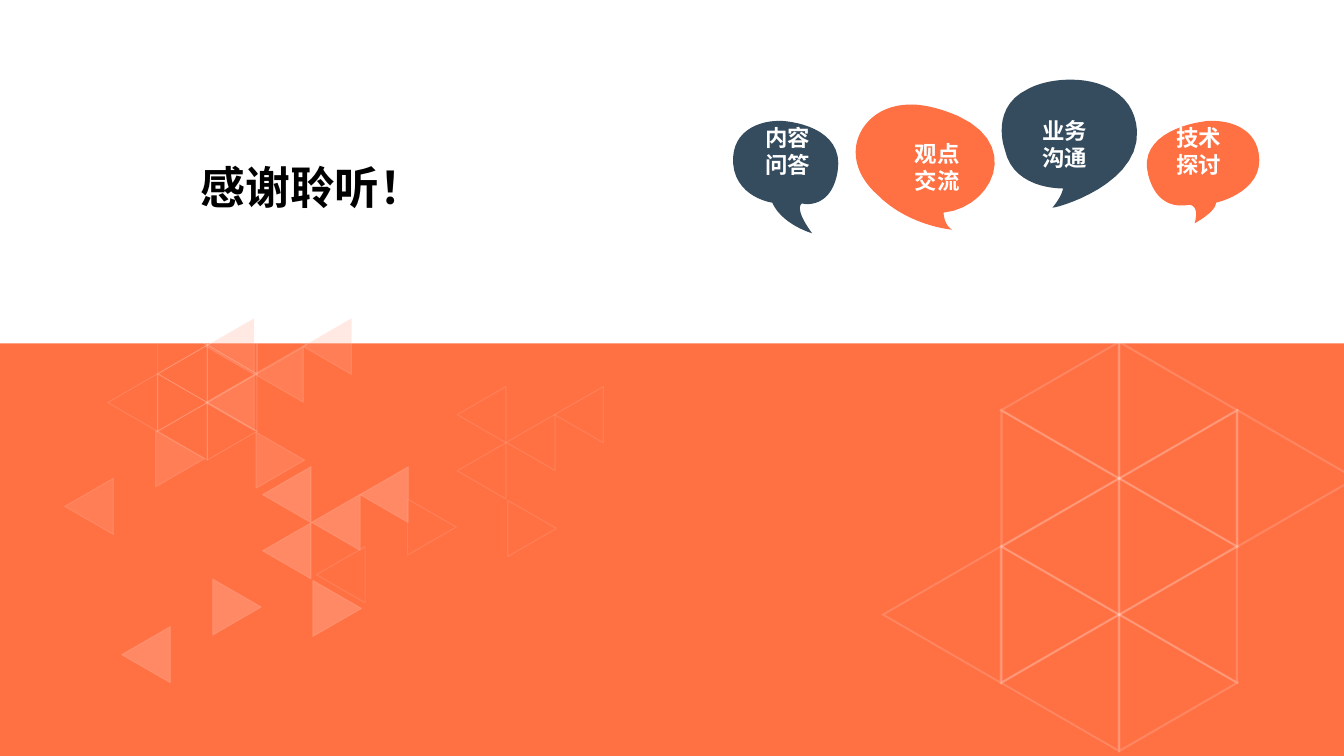
from lxml.etree import SubElement
from pptx import Presentation
from pptx.dml.color import RGBColor
from pptx.enum.shapes import MSO_SHAPE as Preset
from pptx.enum.text import MSO_ANCHOR as Anchor, PP_ALIGN as Align
from pptx.oxml.ns import qn
from pptx.util import Cm, Pt

COLORS = {"orange": "FF7043", "peach": "FFA98E", "navy": "354B5E", "white": "FFFFFF", "black": "000000"}
GRID = 0.0254  # cm per layout grid unit
FONT = "Noto Sans CJK SC"


def draw_outline(contours, color, opacity=100):
    """Draw closed contours, given in grid units, as one filled freeform."""
    builder = None
    for contour in contours:
        points = [(Cm(x * GRID), Cm(y * GRID)) for x, y in contour]
        if builder is None:
            builder = slide.shapes.build_freeform(*points[0])
        else:
            builder.move_to(*points[0])
        builder.add_line_segments(points[1:], close=True)
    shape = builder.convert_to_shape()
    shape.shadow.inherit = False
    shape.fill.solid()
    shape.fill.fore_color.rgb = RGBColor.from_string(COLORS[color])
    shape.line.fill.background()
    if opacity < 100:
        fill_color = next(shape._element.spPr.iter(qn("a:srgbClr")))
        SubElement(fill_color, qn("a:alpha"), val=str(opacity * 1000))
    return shape


def triangle(left, middle, width, half, direction):
    """Corners of a triangle whose tip points left ("L") or right ("R")."""
    tip, base = (left, left + width) if direction == "L" else (left + width, left)
    return [(tip, middle), (base, middle + half), (base, middle - half)]


presentation = Presentation()
presentation.slide_width, presentation.slide_height = Cm(1890 * GRID), Cm(1063 * GRID)
slide = presentation.slides.add_slide(presentation.slide_layouts[5])

# Orange lower band
band = slide.shapes.add_shape(Preset.RECTANGLE, 0, Cm(483 * GRID), Cm(1890 * GRID), Cm(580 * GRID))
band.shadow.inherit = False
band.fill.solid()
band.fill.fore_color.rgb = RGBColor.from_string(COLORS["orange"])
band.line.fill.background()

# Wire lattices: column, row and direction of each triangle
LATTICE = [(1, 0, "L"), (2, 0, "R"), (2, 1, "L"), (3, 1, "R"), (1, 1, "R"), (1, 2, "L"),
           (2, 2, "R"), (2, 3, "L"), (0, 3, "L"), (1, 3, "R"), (1, 4, "L"), (2, 4, "R")]
for origin_x, origin_y, side, opacity in [(1239, 577, 197, 16), (150.5, 445, 83, 15)]:
    for column, row, direction in LATTICE:
        left = origin_x + column * 0.842 * side
        middle = origin_y + row * 0.486 * side
        inset = 0.027 * side
        if direction == "R":
            left += 0.01 * side
            inset = 0.015 * side
        outer = triangle(left, middle, 0.864 * side, side / 2, direction)
        inner = triangle(left + inset, middle, 0.82 * side, 0.474 * side, direction)
        draw_outline([outer, inner[::-1]], "white", opacity)

# Solid triangle clusters: left, middle and direction of each triangle
CLUSTER = [(91, 712, "L"), (289, 487, "L"), (358, 526, "L"), (426, 487, "L"),
           (289, 566, "L"), (219, 645, "R"), (360, 647, "R")]
for shift_x, shift_y, color, opacity in [(0, 0, "peach", 25), (80, 208.5, "peach", 45),
                                         (354, 96, "orange", 25)]:
    for left, middle, direction in CLUSTER:
        corners = triangle(left + shift_x, middle + shift_y, 68.5, 39.5, direction)
        shape = draw_outline([corners], color, opacity)
        shape.line.color.rgb = RGBColor.from_string(COLORS["white"])
        shape.line.width = Pt(1.25)
        line_color = next(shape.line._ln.iter(qn("a:srgbClr")))
        SubElement(line_color, qn("a:alpha"), val="10000")

# Speech bubbles: lines, colour, text centre, anchor, start point, Bézier segments
BUBBLES = [
    ("内容\n问答", "navy", 1108, Anchor.TOP, (1095, 170), [
        (1066, 170, 1028, 185, 1031, 230), (1035, 278, 1086, 285, 1086, 285),
        (1100, 316, 1142, 328, 1142, 328), (1115, 291, 1128, 286, 1128, 286),
        (1128, 286, 1131, 287, 1135, 287), (1147, 287, 1171, 282, 1178, 241),
        (1187, 186, 1128, 172, 1100, 170), (1098, 170, 1096, 170, 1095, 170)]),
    ("业务\n沟通", "navy", 1497, Anchor.MIDDLE, (1506, 112), [
        (1485, 112, 1463, 116, 1446, 125), (1391, 151, 1413, 210, 1413, 210),
        (1424, 264, 1487, 265, 1494, 265), (1495, 265, 1495, 265, 1495, 265),
        (1493, 277, 1480, 292, 1480, 292), (1490, 292, 1603, 258, 1599, 184),
        (1596, 133, 1551, 112, 1506, 112)]),
    ("技术\n探讨", "orange", 1685.5, Anchor.TOP, (1705, 170), [
        (1700, 170, 1696, 170, 1692, 171), (1662, 175, 1600, 194, 1615, 247),
        (1625, 284, 1648, 289, 1661, 289), (1668, 289, 1672, 288, 1672, 288),
        (1674, 288, 1687, 289, 1680, 314), (1680, 314, 1710, 298, 1710, 285),
        (1710, 285, 1771, 272, 1771, 225), (1770, 183, 1734, 170, 1705, 170)]),
    ("观点\n交流", "orange", 1318, Anchor.MIDDLE, (1281, 147), [
        (1233, 147, 1208, 178, 1204, 205), (1198, 244, 1232, 272, 1232, 272),
        (1276, 318, 1339, 323, 1339, 323), (1327, 316, 1327, 299, 1327, 299),
        (1395, 292, 1438, 204, 1347, 163), (1321, 152, 1299, 147, 1281, 147)]),
]
STEPS = 14
for text, color, text_center, anchor, start, segments in BUBBLES:
    points = [start]
    for x1, y1, x2, y2, x3, y3 in segments:
        x0, y0 = points[-1]
        for step in range(1, STEPS + 1):
            t = step / STEPS
            a, b, c, d = (1 - t) ** 3, 3 * t * (1 - t) ** 2, 3 * t * t * (1 - t), t ** 3
            points.append((a * x0 + b * x1 + c * x2 + d * x3, a * y0 + b * y1 + c * y2 + d * y3))
    bubble = draw_outline([points], color)
    # Side margins move the text to its centre
    offset = Cm(text_center * GRID) - (bubble.left + bubble.width // 2)
    frame = bubble.text_frame
    frame.margin_left, frame.margin_right = max(0, 2 * offset), max(0, -2 * offset)
    frame.word_wrap = True
    frame.vertical_anchor = anchor
    frame.text = text
    for paragraph in frame.paragraphs:
        paragraph.alignment = Align.CENTER
        for run in paragraph.runs:
            run.font.size, run.font.bold = Pt(22.7), True
            run.font.color.rgb = RGBColor.from_string(COLORS["white"])
            SubElement(run.font._element, qn("a:ea"), typeface=FONT)

# Title
title = slide.shapes.title
title.left, title.top, title.width, title.height = [Cm(n * GRID) for n in (272, 216, 562, 102)]
frame = title.text_frame
frame.text = "感谢聆听！"
frame.vertical_anchor = Anchor.MIDDLE
paragraph = frame.paragraphs[0]
paragraph.alignment = Align.LEFT
paragraph.line_spacing = 0.9
run = paragraph.runs[0]
run.font.name, run.font.size, run.font.bold = "Arial", Pt(45.4), True
run.font.color.rgb = RGBColor.from_string(COLORS["black"])
SubElement(run.font._element, qn("a:ea"), typeface=FONT)

presentation.save("out.pptx")
